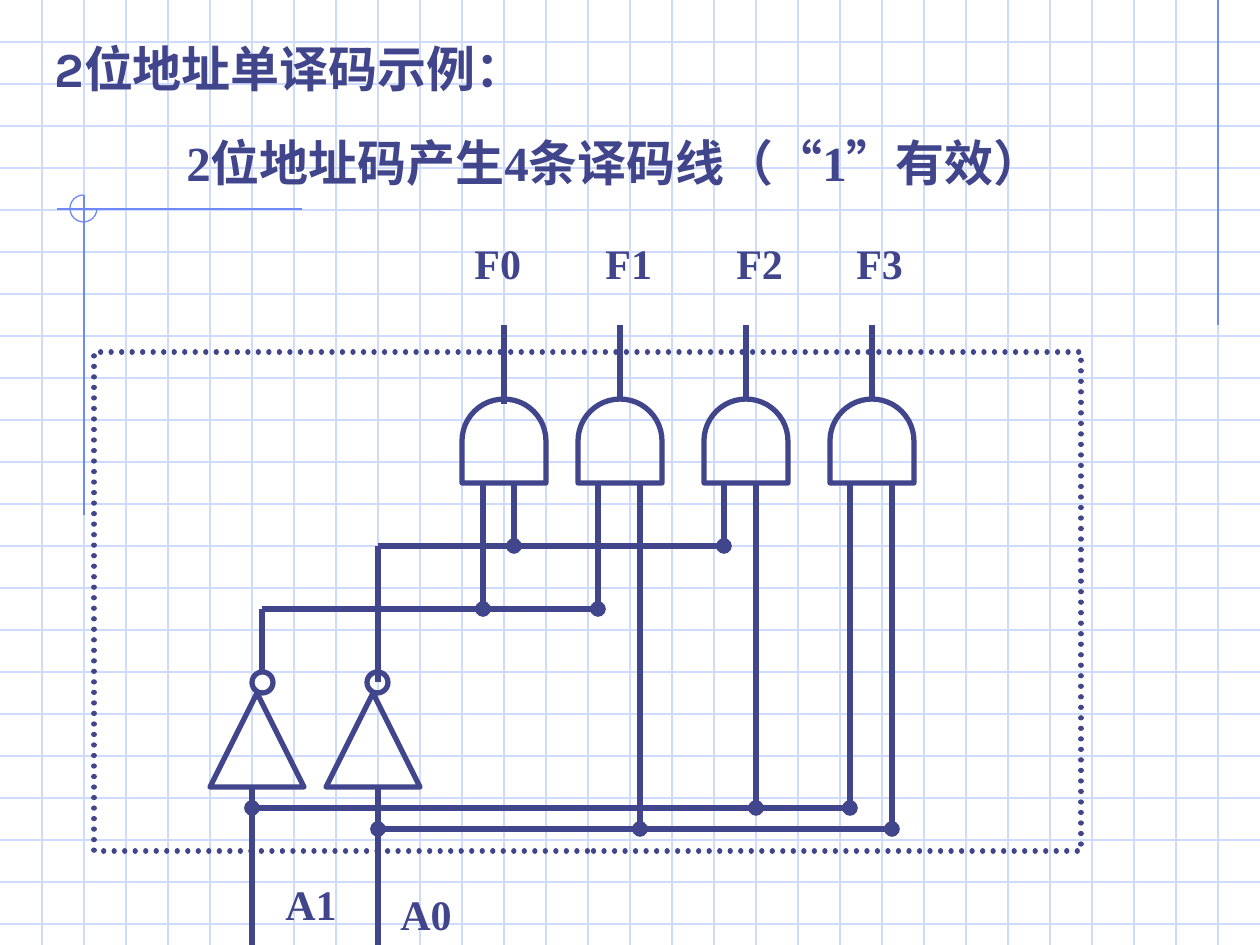
from typing import NamedTuple

from lxml import etree
from pptx import Presentation
from pptx.dml.color import RGBColor
from pptx.enum.dml import MSO_LINE
from pptx.enum.shapes import MSO_CONNECTOR, MSO_SHAPE
from pptx.enum.text import MSO_ANCHOR
from pptx.oxml.ns import qn
from pptx.util import Pt

PIXEL = 914400 // 126
WIDTH, HEIGHT, GRID_STEP = 1260, 945, 42
INK, GRID_COLOR, ACCENT = "40458C", "CFDBFD", "6F89F7"
THIN, THICK = 0.74, 3
SERIF, SANS = "Times New Roman", "Karla"
STRAIGHT = MSO_CONNECTOR.STRAIGHT
DELAY, EXTRACT = MSO_SHAPE.FLOWCHART_DELAY, MSO_SHAPE.FLOWCHART_EXTRACT
ELLIPSE, RECTANGLE, ARC = MSO_SHAPE.OVAL, MSO_SHAPE.RECTANGLE, MSO_SHAPE.ARC
ROUND_DOT = MSO_LINE.ROUND_DOT
TOP, MIDDLE = MSO_ANCHOR.TOP, MSO_ANCHOR.MIDDLE


class Wire(NamedTuple):
    x1: int
    y1: int
    x2: int
    y2: int
    start_dot: bool = False
    end_dot: bool = False
    color: str = INK
    weight: float = THICK


class Outline(NamedTuple):
    kind: MSO_SHAPE
    left: int
    top: int
    width: int
    height: int
    rotation: int = 0
    color: str = INK
    weight: float = THICK


class Label(NamedTuple):
    text: str
    left: int
    top: int
    width: int
    height: int
    size: int = 24
    font: str = SERIF
    anchor: MSO_ANCHOR = TOP
    tabs: tuple[int, ...] = ()


def rgb(color: str) -> RGBColor:
    return RGBColor.from_string(color)


def draw_wire(slide, wire: Wire) -> None:
    ends = (value * PIXEL for value in wire[:4])
    connector = slide.shapes.add_connector(STRAIGHT, *ends)
    connector.line.color.rgb = rgb(wire.color)
    connector.line.width = Pt(wire.weight)
    properties = connector._element.spPr
    line = properties.find(qn("a:ln"))
    for tag, dotted in (("a:headEnd", wire.start_dot), ("a:tailEnd", wire.end_dot)):
        if dotted:
            etree.SubElement(line, qn(tag), type="oval")
    etree.SubElement(properties, qn("a:effectLst"))


def draw_outline(slide, outline: Outline):
    box = (value * PIXEL for value in outline[1:5])
    shape = slide.shapes.add_shape(outline.kind, *box)
    shape.shadow.inherit = False
    shape.fill.background()
    shape.line.color.rgb = rgb(outline.color)
    shape.line.width = Pt(outline.weight)
    shape.rotation = outline.rotation
    return shape


def draw_label(slide, label: Label) -> None:
    box = (value * PIXEL for value in label[1:5])
    frame = slide.shapes.add_textbox(*box).text_frame
    frame.word_wrap = True
    frame.vertical_anchor = label.anchor
    paragraph = frame.paragraphs[0]
    if label.tabs:
        tab_list = etree.SubElement(paragraph._p.get_or_add_pPr(), qn("a:tabLst"))
        for tab in label.tabs:
            etree.SubElement(tab_list, qn("a:tab"), pos=str(tab * PIXEL), algn="l")
    run = paragraph.add_run()
    run.text = label.text
    run.font.name = label.font
    run.font.size = Pt(label.size)
    run.font.bold = True
    run.font.color.rgb = rgb(label.color if hasattr(label, "color") else INK)


presentation = Presentation()
presentation.slide_width = WIDTH * PIXEL
presentation.slide_height = HEIGHT * PIXEL
slide = presentation.slides.add_slide(presentation.slide_layouts[6])

# Background grid
for y in range(GRID_STEP, HEIGHT, GRID_STEP):
    draw_wire(slide, Wire(0, y, WIDTH, y, color=GRID_COLOR, weight=THIN))
for x in range(GRID_STEP, WIDTH, GRID_STEP):
    draw_wire(slide, Wire(x, 0, x, HEIGHT, color=GRID_COLOR, weight=THIN))

# Accent lines and three-quarter arc
for ends in ((1218, 0, 1218, 325), (302, 209, 57, 209), (84, 195, 84, 515)):
    draw_wire(slide, Wire(*ends, color=ACCENT, weight=THIN))
arc = draw_outline(slide, Outline(ARC, 70, 195, 27, 27, color=ACCENT, weight=THIN))
arc.adjustments[0] = 0
arc.adjustments[1] = 162

# AND gates with their outputs
GATE_SIZE, GATE_TOP, GATE_BOTTOM = 84, 399, 483
for gate_left, output_start in ((462, 404), (578, 399), (704, 399), (830, 399)):
    draw_outline(slide, Outline(DELAY, gate_left, GATE_TOP, GATE_SIZE, GATE_SIZE, 270))
    output = gate_left + GATE_SIZE // 2
    draw_wire(slide, Wire(output, output_start, output, 325))

# Inverters with their inputs
for inverter_left, bubble_left, address in ((210, 252, 252), (326, 367, 378)):
    draw_outline(slide, Outline(EXTRACT, inverter_left, 693, 94, 94))
    draw_outline(slide, Outline(ELLIPSE, bubble_left, 672, 21, 21))
    draw_wire(slide, Wire(address, HEIGHT, address, 788))

# Inverted and direct address lines
INVERTED_A1, INVERTED_A0, DIRECT_A1, DIRECT_A0 = 609, 546, 808, 829
ADDRESS_WIRES = (
    Wire(262, 672, 262, INVERTED_A1),
    Wire(262, INVERTED_A1, 598, INVERTED_A1),
    Wire(378, 682, 378, INVERTED_A0),
    Wire(378, INVERTED_A0, 724, INVERTED_A0),
    Wire(252, DIRECT_A1, 850, DIRECT_A1, True, True),
    Wire(378, DIRECT_A0, 892, DIRECT_A0, True, True),
)
for wire in ADDRESS_WIRES:
    draw_wire(slide, wire)

# Gate inputs: x, address line, dot at the junction
GATE_INPUTS = (
    (483, INVERTED_A1, True), (514, INVERTED_A0, True),
    (598, INVERTED_A1, True), (640, DIRECT_A0, True),
    (724, INVERTED_A0, True), (756, DIRECT_A1, True),
    (850, DIRECT_A1, False), (892, DIRECT_A0, False),
)
for x, junction, dotted in GATE_INPUTS:
    draw_wire(slide, Wire(x, junction, x, GATE_BOTTOM, start_dot=dotted))

# Dotted decoder boundary
boundary = draw_outline(slide, Outline(RECTANGLE, 94, 352, 987, 499))
boundary.line.dash_style = ROUND_DOT
boundary._element.spPr.find(qn("a:ln")).set("cap", "rnd")

# Text
LABELS = (
    Label("A1", 273, 872, 84, 63),
    Label("A0", 388, 882, 94, 63),
    Label("F0\tF1\tF2\tF3", 462, 231, 514, 63, tabs=(131, 262, 382)),
    Label("2位地址单译码示例：", 42, 10, 588, 116, 28, SANS, MIDDLE),
    Label("2位地址码产生4条译码线（“1”有效）", 174, 126, 912, 72, 28),
)
for label in LABELS:
    draw_label(slide, label)

presentation.save("out.pptx")
